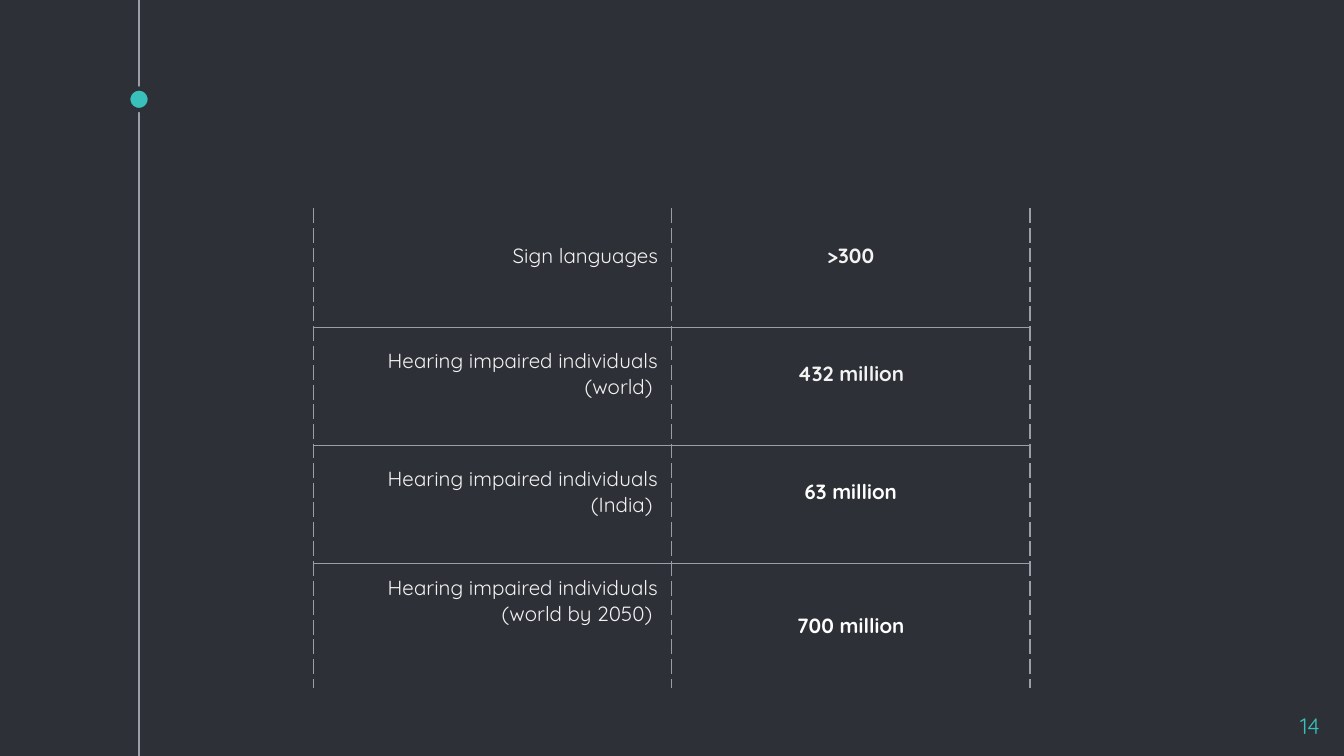
from dataclasses import dataclass

from lxml import etree
from pptx import Presentation
from pptx.dml.color import RGBColor
from pptx.enum.shapes import MSO_CONNECTOR, MSO_SHAPE
from pptx.enum.text import MSO_ANCHOR, PP_ALIGN
from pptx.oxml.ns import qn
from pptx.util import Pt

STRAIGHT = MSO_CONNECTOR.STRAIGHT
OVAL = MSO_SHAPE.OVAL
MIDDLE = MSO_ANCHOR.MIDDLE
RIGHT, CENTER = PP_ALIGN.RIGHT, PP_ALIGN.CENTER

FONT = "Quicksand"
COLORS = {
    "background": "2E3037",
    "rule": "999FA9",
    "accent": "39C0BA",
    "label": "F3F3F3",
    "highlight": "FFFFFF",
}
SLIDE_WIDTH, SLIDE_HEIGHT = 720, 405
TIMELINE_X, DOT_Y, DOT_SIZE = 74.5, 53.2, 11.5
TABLE_LEFT, TABLE_TOP, COLUMN_WIDTH = 167.8, 111.6, 192
RULE_WIDTH = 0.75
CELL_INSET_X, CELL_INSET_Y = 7.2, 5


@dataclass
class Statistic:
    label: str
    value: str
    height: float
    label_bottom: float = 18.4
    value_bottom: float = 18.4
    value_color: str = "label"


STATISTICS = [
    Statistic("Sign languages", ">300", 63.8),
    Statistic("Hearing impaired individuals (world) ", "432 million", 63.3),
    Statistic("Hearing impaired individuals (India) ", "63 million", 63.3,
              value_color="highlight"),
    Statistic("Hearing impaired individuals (world by 2050) ", "700 million", 66.4,
              label_bottom=32, value_bottom=CELL_INSET_Y, value_color="highlight"),
]


def rgb(name: str) -> RGBColor:
    return RGBColor.from_string(COLORS[name])


def write_text(text_frame, text: str, alignment, size: float, color: str,
               bold: bool = False) -> None:
    paragraph = text_frame.paragraphs[0]
    paragraph.add_run().text = text
    paragraph.alignment = alignment
    font = paragraph.font
    font.name, font.size, font.bold = FONT, Pt(size), bold
    font.color.rgb = rgb(color)


def add_timeline(slide) -> None:
    line = slide.shapes.add_connector(
        STRAIGHT, Pt(TIMELINE_X), Pt(0), Pt(TIMELINE_X), Pt(SLIDE_HEIGHT))
    line.line.color.rgb = rgb("rule")
    line.line.width = Pt(RULE_WIDTH)
    etree.SubElement(line._element.spPr, qn("a:effectLst"))

    dot = slide.shapes.add_shape(
        OVAL, Pt(TIMELINE_X - DOT_SIZE / 2), Pt(DOT_Y - DOT_SIZE / 2),
        Pt(DOT_SIZE), Pt(DOT_SIZE))
    dot.shadow.inherit = False
    dot.fill.solid()
    dot.fill.fore_color.rgb = rgb("accent")
    dot.line.color.rgb = rgb("background")
    dot.line.width = Pt(2.25)


def set_borders(cell, top: bool, bottom: bool) -> None:
    """Dash the sides; draw solid top and bottom rules only where asked."""
    styles = {"lnL": "dash", "lnR": "dash",
              "lnT": "solid" if top else None,
              "lnB": "solid" if bottom else None}
    properties = cell._tc.get_or_add_tcPr()
    for tag, dash in styles.items():
        border = etree.SubElement(properties, qn(f"a:{tag}"),
                                  w=str(int(Pt(RULE_WIDTH))))
        if dash is None:
            etree.SubElement(border, qn("a:noFill"))
            continue
        fill = etree.SubElement(border, qn("a:solidFill"))
        etree.SubElement(fill, qn("a:srgbClr"), val=COLORS["rule"])
        etree.SubElement(border, qn("a:prstDash"), val=dash)


def add_statistics_table(slide, statistics: list[Statistic]) -> None:
    total_height = sum(statistic.height for statistic in statistics)
    table = slide.shapes.add_table(
        len(statistics), 2, Pt(TABLE_LEFT), Pt(TABLE_TOP),
        Pt(2 * COLUMN_WIDTH), Pt(total_height)).table
    table.first_row = table.horz_banding = False
    for index, statistic in enumerate(statistics):
        table.rows[index].height = Pt(statistic.height)
        label, value = table.rows[index].cells
        for cell, bottom in ((label, statistic.label_bottom),
                             (value, statistic.value_bottom)):
            cell.vertical_anchor = MIDDLE
            cell.margin_left = cell.margin_right = Pt(CELL_INSET_X)
            cell.margin_top, cell.margin_bottom = Pt(CELL_INSET_Y), Pt(bottom)
            set_borders(cell, top=index > 0, bottom=index < len(statistics) - 1)
            cell.fill.background()
        write_text(label.text_frame, statistic.label, RIGHT, 11, "label")
        write_text(value.text_frame, statistic.value, CENTER, 11,
                   statistic.value_color, bold=True)


def add_page_number(slide, number: int) -> None:
    text_frame = slide.shapes.add_textbox(
        Pt(671), Pt(374.4), Pt(43.2), Pt(24.5)).text_frame
    text_frame.word_wrap = True
    text_frame.margin_left = text_frame.margin_right = Pt(7.2)
    text_frame.margin_top = text_frame.margin_bottom = Pt(7.2)
    write_text(text_frame, str(number), RIGHT, 12, "accent")


def main() -> None:
    presentation = Presentation()
    presentation.slide_width = Pt(SLIDE_WIDTH)
    presentation.slide_height = Pt(SLIDE_HEIGHT)
    slide = presentation.slides.add_slide(presentation.slide_layouts[6])
    slide.background.fill.solid()
    slide.background.fill.fore_color.rgb = rgb("background")
    add_timeline(slide)
    add_statistics_table(slide, STATISTICS)
    add_page_number(slide, 14)
    presentation.save("out.pptx")


if __name__ == "__main__":
    main()
